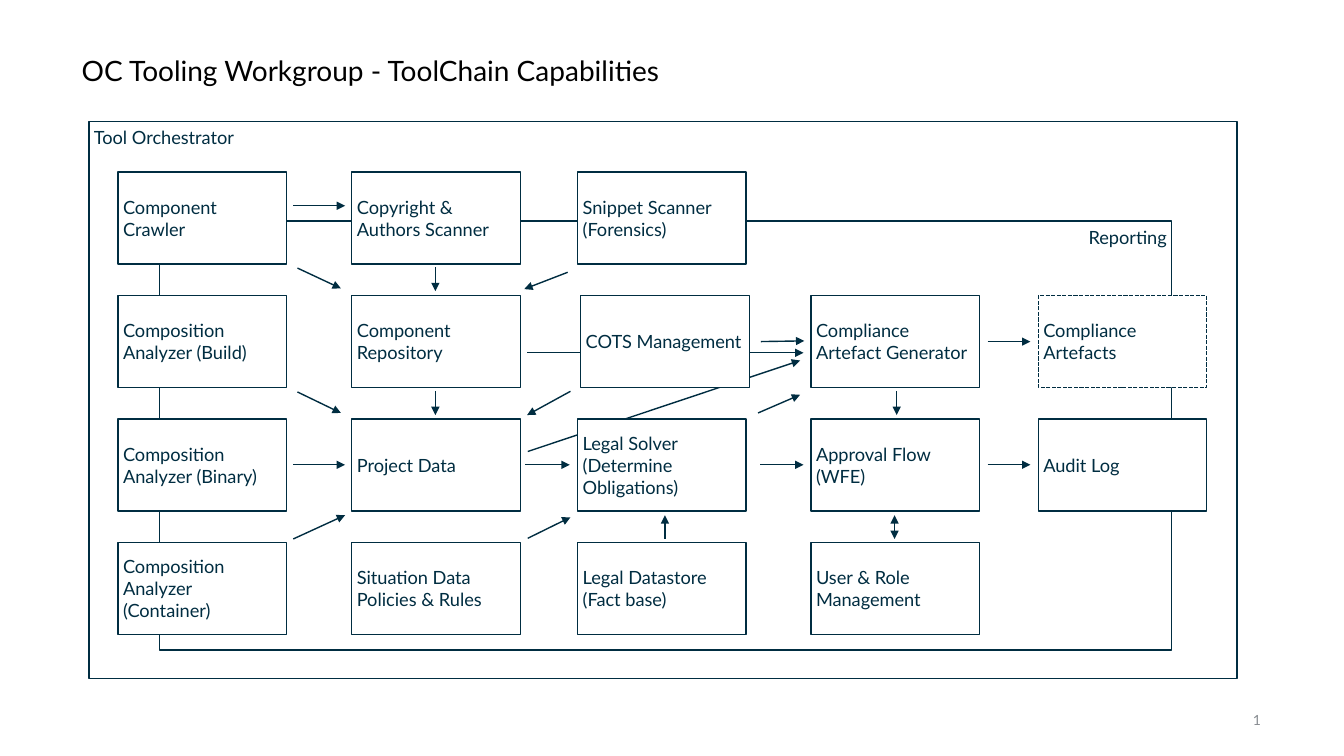
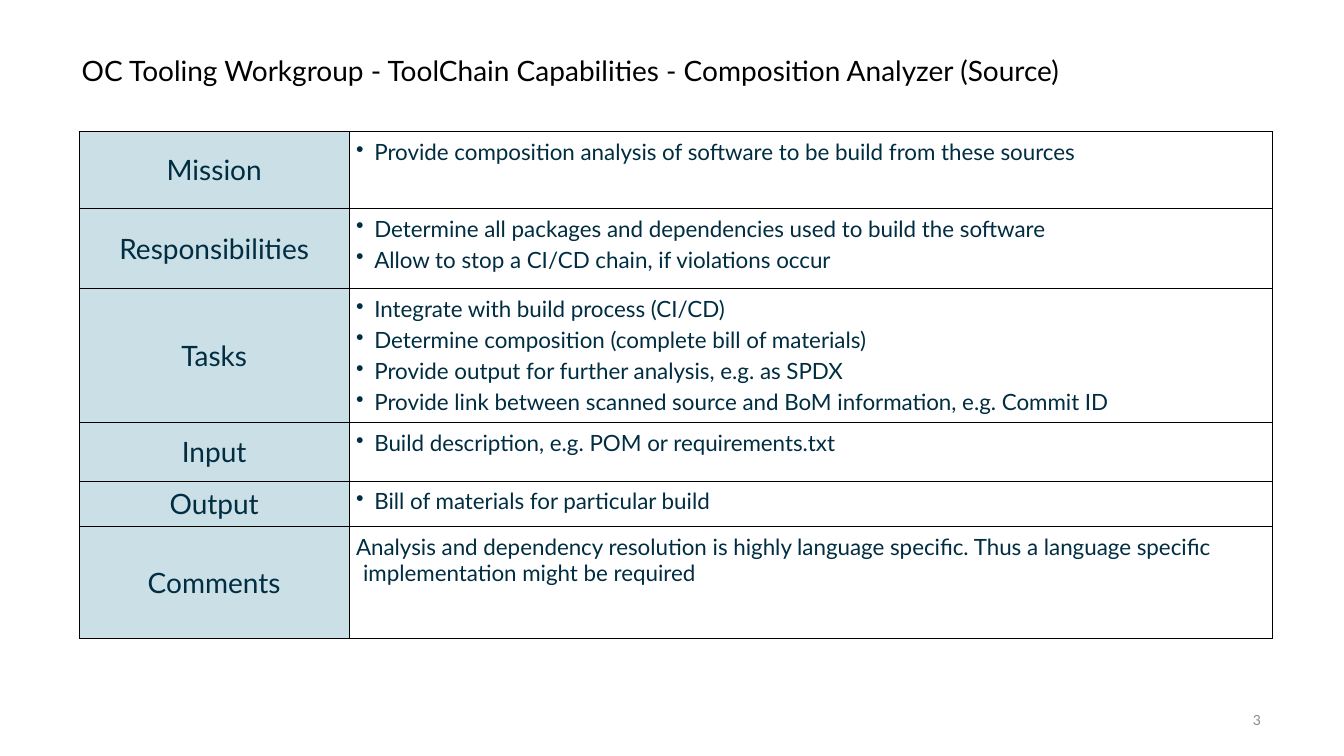
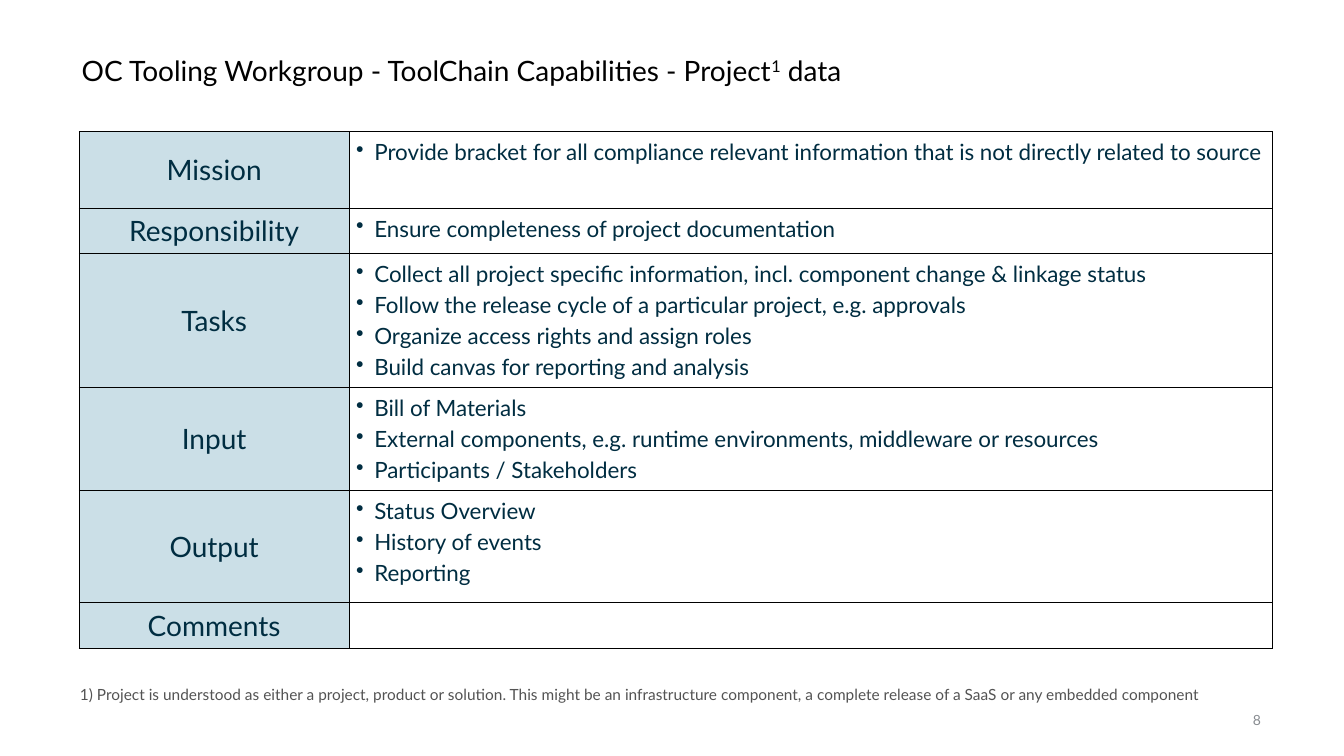
"""Build three slides on open compliance tooling: a capability map and two capability tables."""
import dataclasses

import lxml.etree
import pptx
import pptx.dml.color
import pptx.enum.dml
import pptx.enum.shapes
import pptx.enum.text
import pptx.oxml.ns
import pptx.util

Pt = pptx.util.Pt
RGB = pptx.dml.color.RGBColor.from_string
qn = pptx.oxml.ns.qn
ALIGN = pptx.enum.text.PP_ALIGN
ANCHOR = pptx.enum.text.MSO_ANCHOR


@dataclasses.dataclass
class Theme:
    font: str = "Lato"
    navy: str = "002D41"
    label: str = "CBDFE7"
    white: str = "FFFFFF"
    black: str = "000000"
    page: str = "888C91"
    note: str = "535353"
    title_size: float = 20
    body_size: float = 16
    box_size: float = 13
    note_size: float = 11
    page_size: float = 10
    inset: float = 3.6


T = Theme()


def write(tf, text, size, color, align=ALIGN.LEFT):
    tf.text = text
    for p in tf.paragraphs:
        p.alignment = align
        p.font.size = Pt(size)
        for r in p.runs:
            r.font.name = T.font
            r.font.size = Pt(size)
            r.font.color.rgb = RGB(color)


def box(s, at, text, size, color, align=ALIGN.LEFT, anchor=ANCHOR.MIDDLE, outlined=False):
    at = [Pt(v) for v in at]
    if outlined:
        sp = s.shapes.add_shape(pptx.enum.shapes.MSO_SHAPE.RECTANGLE, *at)
        sp.shadow.inherit = False
        sp.fill.solid()
        sp.fill.fore_color.rgb = RGB(T.white)
        sp.line.color.rgb = RGB(T.navy)
        sp.line.width = Pt(1)
    else:
        sp = s.shapes.add_textbox(*at)
    tf = sp.text_frame
    tf.word_wrap = True
    tf.vertical_anchor = anchor
    tf.margin_left = tf.margin_right = tf.margin_top = tf.margin_bottom = Pt(T.inset)
    write(tf, text, size, color, align)
    return sp


prs = pptx.Presentation()
prs.slide_width, prs.slide_height = Pt(960), Pt(540)

base_title = "OC Tooling Workgroup - ToolChain Capabilities"
pages = [
    ("1", [base_title]),
    ("3", [base_title + " - Composition Analyzer (Source)"]),
    ("8", [base_title + " - Project", "1", " data"]),
]
slides = []
for number, (first, *rest) in pages:
    s = prs.slides.add_slide(prs.slide_layouts[6])
    sp = box(s, (54.7, 28, 765, 46.8), first, T.title_size, T.black)
    p = sp.text_frame.paragraphs[0]
    p.line_spacing = 0.9
    for i, part in enumerate(rest):
        r = p.add_run()
        r.text = part
        r.font.name = T.font
        r.font.size = Pt(T.title_size)
        r.font.color.rgb = RGB(T.black)
        if i == 0:
            r._r.get_or_add_rPr().set("baseline", "32000")
    box(s, (860, 504, 904.3 - 860, 21), number, T.page_size, T.page, ALIGN.RIGHT)
    slides.append(s)
map_slide, analyzer_slide, project_slide = slides

frames = [
    ((63.5, 86.8, 820, 398), "Tool Orchestrator", ALIGN.LEFT),
    ((114, 157.8, 723, 306.5), "Reporting", ALIGN.RIGHT),
]
for at, text, align in frames:
    box(map_slide, at, text, T.box_size, T.navy, align, ANCHOR.TOP, outlined=True)

arrows = [
    (209.5, 147, 246.5, 147),
    (209.5, 332, 246.5, 332),
    (375, 332, 407, 332),
    (543, 332, 574, 332),
    (705.5, 332, 736, 332),
    (543.5, 244, 574.5, 243.5),
    (705.5, 244, 736, 244),
    (376.5, 252, 574, 252),
    (311, 191, 311, 208),
    (311, 279.5, 311, 296.5),
    (640.5, 279.5, 640.5, 296.5),
    (475, 385, 475, 368),
    (639, 385, 639, 368),
    (212.5, 191.5, 243.5, 206),
    (212.5, 280, 243.5, 295),
    (209.5, 385, 246.5, 368),
    (405.5, 194.5, 374.5, 206.5),
    (407.5, 279.5, 376.5, 296.5),
    (377, 384.5, 407.5, 369.5),
    (541.5, 295, 571.5, 282),
    (377, 322.5, 571.5, 257.5),
]
two_way = (639, 385, 639, 368)
for arrow in arrows:
    c = map_slide.shapes.add_connector(
        pptx.enum.shapes.MSO_CONNECTOR.STRAIGHT, *[Pt(v) for v in arrow])
    c.line.color.rgb = RGB(T.navy)
    c.line.width = Pt(1)
    ln = c.line._get_or_add_ln()
    for end in ("a:headEnd", "a:tailEnd") if arrow == two_way else ("a:tailEnd",):
        lxml.etree.SubElement(ln, qn(end), type="triangle")
    lxml.etree.SubElement(c._element.spPr, qn("a:effectLst"))

column_lefts = [84.3, 251.3, 412.6, 579.3, 741.6]
grid = [
    ["Component Crawler", "Copyright & Authors Scanner", "Snippet Scanner\v(Forensics)"],
    ["Composition Analyzer (Build)", "Component Repository", "COTS Management",
     "Compliance Artefact Generator", "Compliance Artefacts"],
    ["Composition Analyzer (Binary)", "Project Data", "Legal Solver (Determine Obligations)",
     "Approval Flow (WFE)", "Audit Log"],
    ["Composition Analyzer (Container)", "Situation Data\nPolicies & Rules",
     "Legal Datastore (Fact base)", "User & Role Management"],
]
for i, row in enumerate(grid):
    for left, text in zip(column_lefts, row):
        if text == "COTS Management":
            left += 2.2
        sp = box(map_slide, (left, 123 + 88.2 * i, 120.4, 65.5), text,
                 T.box_size, T.navy, outlined=True)
        if text == "Compliance Artefacts":
            sp.line.dash_style = pptx.enum.dml.MSO_LINE.SQUARE_DOT

analyzer_rows = [
    ("Mission", 54.8, ["Provide composition analysis of software to be build from these sources"]),
    ("Responsibilities", 57.4, [
        "Determine all packages and dependencies used to build the software",
        "Allow to stop a CI/CD chain, if violations occur"]),
    ("Tasks", 95.8, [
        "Integrate with build process (CI/CD)",
        "Determine composition (complete bill of materials)",
        "Provide output for further analysis, e.g. as SPDX",
        "Provide link between scanned source and BoM information, e.g. Commit ID"]),
    ("Input", 41.6, ["Build description, e.g. POM or requirements.txt"]),
    ("Output", 32.3, ["Bill of materials for particular build"]),
    ("Comments", 80, [
        "Analysis and dependency resolution is highly language specific. "
        "Thus a language specific implementation might be required"]),
]
project_rows = [
    ("Mission", 54.8, [
        "Provide bracket for all compliance relevant information "
        "that is not directly related to source"]),
    ("Responsibility", 32.3, ["Ensure completeness of project documentation"]),
    ("Tasks", 95.8, [
        "Collect all project specific information, incl. component change & linkage status",
        "Follow the release cycle of a particular project, e.g. approvals",
        "Organize access rights and assign roles",
        "Build canvas for reporting and analysis"]),
    ("Input", 73, [
        "Bill of Materials",
        "External components, e.g. runtime environments, middleware or resources",
        "Participants / Stakeholders"]),
    ("Output", 80, ["Status Overview", "History of events", "Reporting"]),
    ("Comments", 32.3, []),
]
column_widths = [192.8, 659.5]
for s, rows in ((analyzer_slide, analyzer_rows), (project_slide, project_rows)):
    height = sum(row[1] for row in rows)
    table = s.shapes.add_table(
        len(rows), 2, Pt(56.6), Pt(94), Pt(sum(column_widths)), Pt(height)).table
    table.first_row = table.horz_banding = False
    for column, width in zip(table.columns, column_widths):
        column.width = Pt(width)
    for i, (label, row_height, points) in enumerate(rows):
        table.rows[i].height = Pt(row_height)
        head, body = table.cell(i, 0), table.cell(i, 1)
        for cell, fill, inset in ((head, T.label, 0), (body, T.white, 5)):
            cell.margin_left = cell.margin_right = Pt(inset)
            cell.margin_top = cell.margin_bottom = Pt(inset)
            tcPr = cell._tc.get_or_add_tcPr()
            for side in ("a:lnL", "a:lnR", "a:lnT", "a:lnB"):
                ln = lxml.etree.SubElement(tcPr, qn(side), w=str(Pt(0.5)))
                paint = lxml.etree.SubElement(ln, qn("a:solidFill"))
                lxml.etree.SubElement(paint, qn("a:srgbClr"), val=T.black)
            cell.fill.solid()
            cell.fill.fore_color.rgb = RGB(fill)
        head.vertical_anchor = ANCHOR.MIDDLE
        write(head.text_frame, label, T.title_size, T.navy, ALIGN.CENTER)
        write(body.text_frame, "\n".join(points), T.body_size, T.navy)
        hang = 5 if label == "Comments" else 13
        for j, p in enumerate(body.text_frame.paragraphs):
            pPr = p._p.get_or_add_pPr()
            pPr.set("marL", str(Pt(hang)))
            pPr.set("indent", str(-Pt(hang)))
            if label != "Comments":
                bullet = lxml.etree.Element(qn("a:buChar"), char="•")
                pPr.insert(0, bullet)
            if j:
                p.space_before = Pt(3)

box(project_slide, (53.5, 486, 828, 22.3),
    "1) Project is understood as either a project, product or solution. This might be an "
    "infrastructure component, a complete release of a SaaS or any embedded component",
    T.note_size, T.note, anchor=ANCHOR.TOP)

prs.save("out.pptx")
